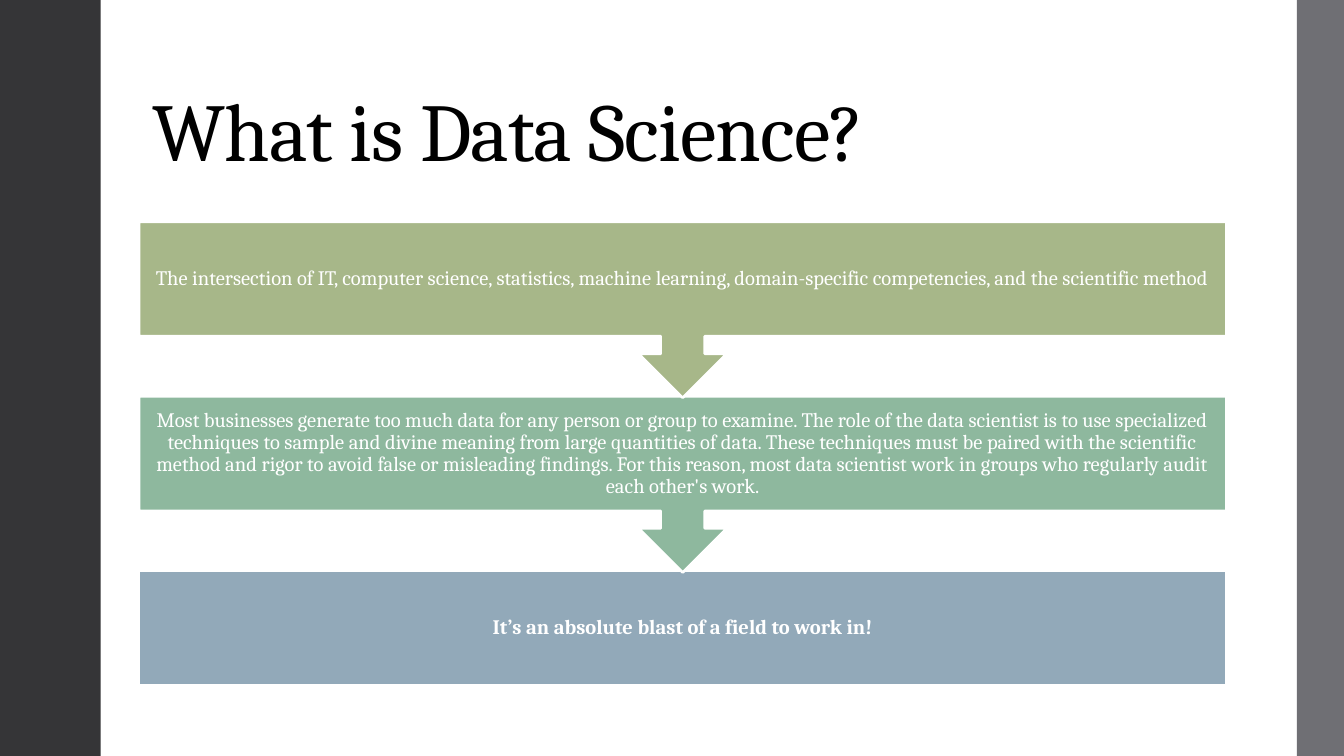
from pptx import Presentation
from pptx.dml.color import RGBColor
from pptx.enum.shapes import MSO_SHAPE
from pptx.enum.text import MSO_ANCHOR, MSO_AUTO_SIZE, PP_ALIGN
from pptx.util import Inches, Pt

RECTANGLE, CALLOUT = MSO_SHAPE.RECTANGLE, MSO_SHAPE.DOWN_ARROW_CALLOUT
BOTTOM, MIDDLE = MSO_ANCHOR.BOTTOM, MSO_ANCHOR.MIDDLE
LEFT, CENTER = PP_ALIGN.LEFT, PP_ALIGN.CENTER
NO_FIT = MSO_AUTO_SIZE.NONE

BLACK = RGBColor(0x00, 0x00, 0x00)
WHITE = RGBColor(0xFF, 0xFF, 0xFF)
CHARCOAL = RGBColor(0x35, 0x35, 0x37)
GRAY = RGBColor(0x6F, 0x6F, 0x74)
OLIVE = RGBColor(0xA7, 0xB7, 0x89)
GREEN = RGBColor(0x8E, 0xB8, 0x9E)
BLUE = RGBColor(0x92, 0xA9, 0xB9)
FONT = "Cambria"

deck = Presentation()
deck.slide_width = Inches(10)
deck.slide_height = deck.slide_width * 9 // 16
page = deck.slides.add_slide(deck.slide_layouts[5])

# Square grid: 100 columns across the slide, rows of the same size.
COLUMNS = 100
UNIT = deck.slide_width / COLUMNS
ROWS = deck.slide_height / UNIT
FLOW_LEFT, FLOW_TOP, FLOW_WIDTH = 10.35, 16.5, 80.9
STEP, BOX_HEIGHT, CALLOUT_HEIGHT = 13, 8.5, 13.1


def add_block(kind, left, top, width, height, color):
    block = page.shapes.add_shape(
        kind, *(round(cells * UNIT) for cells in (left, top, width, height)))
    block.shadow.inherit = False
    block.fill.solid()
    block.fill.fore_color.rgb = color
    block.line.fill.background()
    return block


def write(box, text, color, frame_format, para_format, font_format):
    frame = box.text_frame
    para = frame.paragraphs[0]
    span = para.add_run()
    span.text = text
    span.font.color.rgb = color
    for target, values in ((frame, frame_format), (para, para_format),
                           (span.font, font_format)):
        for name, value in values.items():
            setattr(target, name, value)
    return span


title = page.shapes.title
title.left, title.top, title.width, title.height = (
    round(cells * UNIT) for cells in (10.35, 2.95, 80.9, 10.9))
heading = write(
    title, "What is Data Science?", BLACK,
    {"vertical_anchor": BOTTOM, "word_wrap": True, "auto_size": NO_FIT},
    {"alignment": LEFT, "line_spacing": 0.9},
    {"name": FONT, "size": Pt(44)})
heading._r.get_or_add_rPr().set("spc", "-50")

for left, width, color in ((0, 7.5, CHARCOAL), (96.5, COLUMNS - 96.5, GRAY)):
    add_block(RECTANGLE, left, 0, width, ROWS, color)

steps = [
    (CALLOUT, CALLOUT_HEIGHT, OLIVE, False,
     "The intersection of IT, computer science, statistics, machine learning, "
     "domain-specific competencies, and the scientific method"),
    (CALLOUT, CALLOUT_HEIGHT, GREEN, False,
     "Most businesses generate too much data for any person or group to examine. "
     "The role of the data scientist is to use specialized techniques to sample "
     "and divine meaning from large quantities of data. These techniques must be "
     "paired with the scientific method and rigor to avoid false or misleading "
     "findings. For this reason, most data scientist work in groups who regularly "
     "audit each other's work."),
    (RECTANGLE, BOX_HEIGHT, BLUE, True,
     "It’s an absolute blast of a field to work in!"),
]
margins = {f"margin_{side}": Inches(0.09)
           for side in ("left", "top", "right", "bottom")}

# The last step goes in first, so each arrow lies over the box below it.
for index, (kind, height, color, bold, text) in reversed(list(enumerate(steps))):
    box = add_block(kind, FLOW_LEFT, FLOW_TOP + index * STEP,
                    FLOW_WIDTH, height, color)
    box.line.color.rgb = WHITE
    box.line.width = Pt(1.35)
    write(box, text, WHITE,
          {"vertical_anchor": MIDDLE, "word_wrap": True, **margins},
          {"alignment": CENTER, "line_spacing": 0.9},
          {"name": FONT, "size": Pt(11), "bold": bold})

deck.save("out.pptx")
